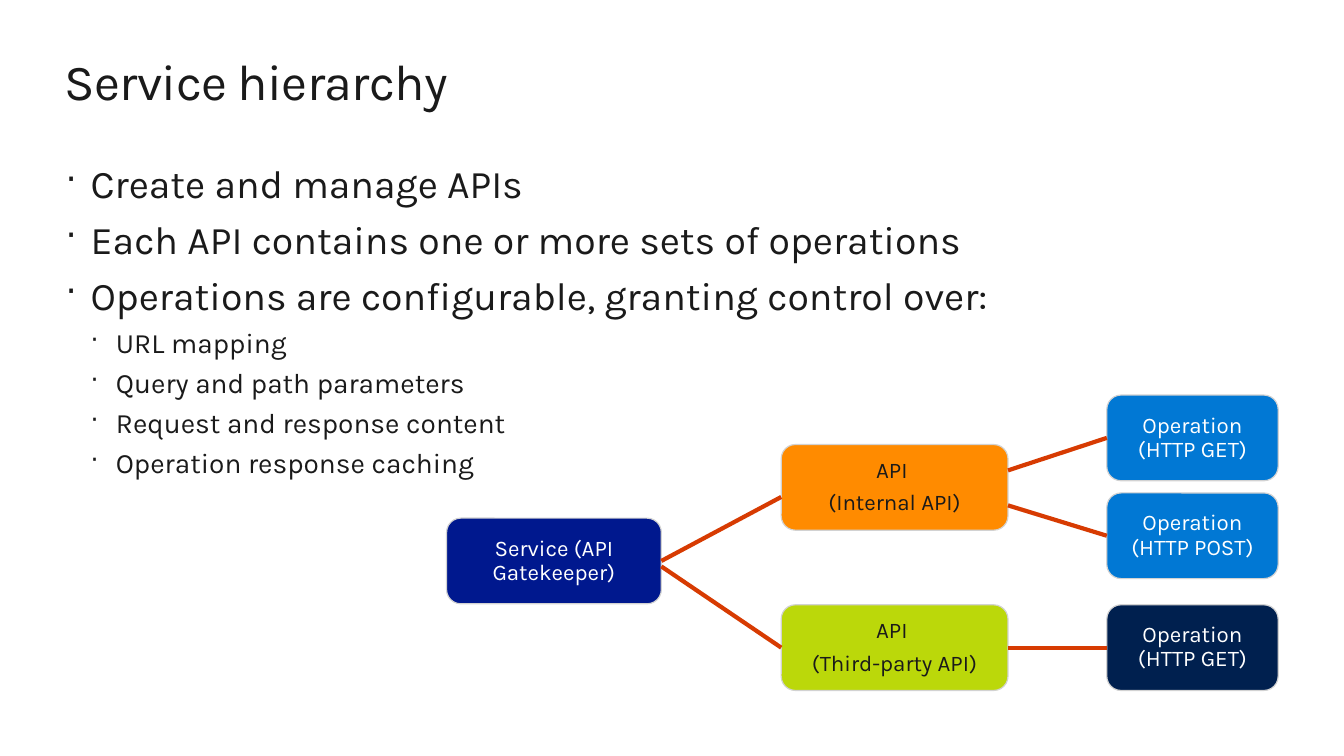
from lxml.etree import SubElement
from pptx import Presentation
from pptx.dml.color import RGBColor
from pptx.enum.shapes import MSO_CONNECTOR, MSO_SHAPE
from pptx.enum.text import MSO_ANCHOR, PP_ALIGN
from pptx.oxml.ns import qn
from pptx.util import Pt

COLORS = {
    "text": "1A1A1A", "white": "FFFFFF", "border": "D2D2D2", "line": "D73B02",
    "service": "00188E", "internal": "FF8B00", "third_party": "BBD80A",
    "operation": "0178D4", "third_party_operation": "00204F",
}
BOX_HEIGHT = 61.2
RIGHT, LEFT = 3, 1


def add_run(paragraph, text, size, color):
    run = paragraph.add_run()
    run.text = text
    run.font.name = "Karla"
    run.font.size = Pt(size)
    run.font.color.rgb = RGBColor.from_string(COLORS[color])
    return run


def add_text_frame(left, top, width, height):
    """Add a wrapping text box without margins and return its text frame."""
    text_box = slide.shapes.add_textbox(Pt(left), Pt(top), Pt(width), Pt(height))
    frame = text_box.text_frame
    frame.word_wrap = True
    frame.margin_left = frame.margin_right = frame.margin_top = frame.margin_bottom = 0
    return frame


presentation = Presentation()
presentation.slide_width = Pt(960)
presentation.slide_height = Pt(540)
slide = presentation.slides.add_slide(presentation.slide_layouts[6])

# Title
title = add_text_frame(46.4, 36, 867.6, 44)
title_run = add_run(title.paragraphs[0], "Service hierarchy", 36, "text")
title_run.font._element.set("spc", "-50")

# Bullets: level and text
bullets = [
    (0, "Create and manage APIs"),
    (0, "Each API contains one or more sets of operations"),
    (0, "Operations are configurable, granting control over:"),
    (1, "URL mapping"),
    (1, "Query and path parameters"),
    (1, "Request and response content"),
    (1, "Operation response caching"),
]
body = add_text_frame(46.8, 113.8, 867.6, 231.8)
for index, (level, text) in enumerate(bullets):
    paragraph = body.add_paragraph() if index else body.paragraphs[0]
    paragraph.level = level
    paragraph.space_before = Pt([6.5, 4.7][level])
    properties = paragraph._p.get_or_add_pPr()
    properties.set("marL", str(Pt(18 * (level + 1))))
    properties.set("indent", str(Pt(-18)))
    SubElement(properties, qn("a:buSzPct"), val="90000")
    SubElement(properties, qn("a:buChar"), char="·")
    add_run(paragraph, text, [28, 20][level], "text")

# Boxes: name, left, top, width, margin, fill, text color, lines
boxes = [
    ("service", 319, 370.1, 153.4, 11.5, "service", "white", ["Service (API Gatekeeper)"]),
    ("get", 790.6, 282.2, 122.4, 2.9, "operation", "white", ["Operation (HTTP GET)"]),
    ("post", 790.6, 352.1, 122.4, 2.9, "operation", "white", ["Operation (HTTP POST)"]),
    ("third_party_get", 790.6, 432, 122.4, 2.9, "third_party_operation", "white",
     ["Operation (HTTP GET)"]),
    ("third_party", 558, 432, 162, 11.5, "third_party", "text", ["API ", "(Third-party API)"]),
    ("internal", 558, 317.5, 162, 11.5, "internal", "text", ["API ", "(Internal API)"]),
]
nodes = {}
for name, left, top, width, margin, fill, color, lines in boxes:
    box = slide.shapes.add_shape(
        MSO_SHAPE.ROUNDED_RECTANGLE, Pt(left), Pt(top), Pt(width), Pt(BOX_HEIGHT))
    box.shadow.inherit = False
    box.fill.solid()
    box.fill.fore_color.rgb = RGBColor.from_string(COLORS[fill])
    box.line.color.rgb = RGBColor.from_string(COLORS["border"])
    box.line.width = Pt(0.85)
    frame = box.text_frame
    frame.word_wrap = True
    frame.vertical_anchor = MSO_ANCHOR.MIDDLE
    frame.margin_left = frame.margin_right = Pt(margin)
    frame.margin_top = frame.margin_bottom = Pt(margin)
    for index, line in enumerate(lines):
        paragraph = frame.add_paragraph() if index else frame.paragraphs[0]
        paragraph.alignment = PP_ALIGN.CENTER
        paragraph.line_spacing = 0.9
        paragraph.space_after = Pt(6)
        add_run(paragraph, line, 16, color)
    nodes[name] = box

# Links: start point, end point, box joined at the start, box joined at the end
links = [
    ((472.4, 400.7), (558, 355), "service", None),
    ((472.4, 404.6), (558, 462.6), None, "third_party"),
    ((720, 336), (790.6, 312.8), None, "get"),
    ((720, 361), (790.6, 382.7), None, "post"),
    ((720, 462.6), (790.6, 462.6), "third_party", "third_party_get"),
]
for start, end, source, target in links:
    connector = slide.shapes.add_connector(
        MSO_CONNECTOR.STRAIGHT, *[Pt(value) for value in start + end])
    connector.line.color.rgb = RGBColor.from_string(COLORS["line"])
    connector.line.width = Pt(3)
    SubElement(connector._element.spPr, qn("a:effectLst"))
    if source:
        connector.begin_connect(nodes[source], RIGHT)
    if target:
        connector.end_connect(nodes[target], LEFT)

presentation.save("out.pptx")
